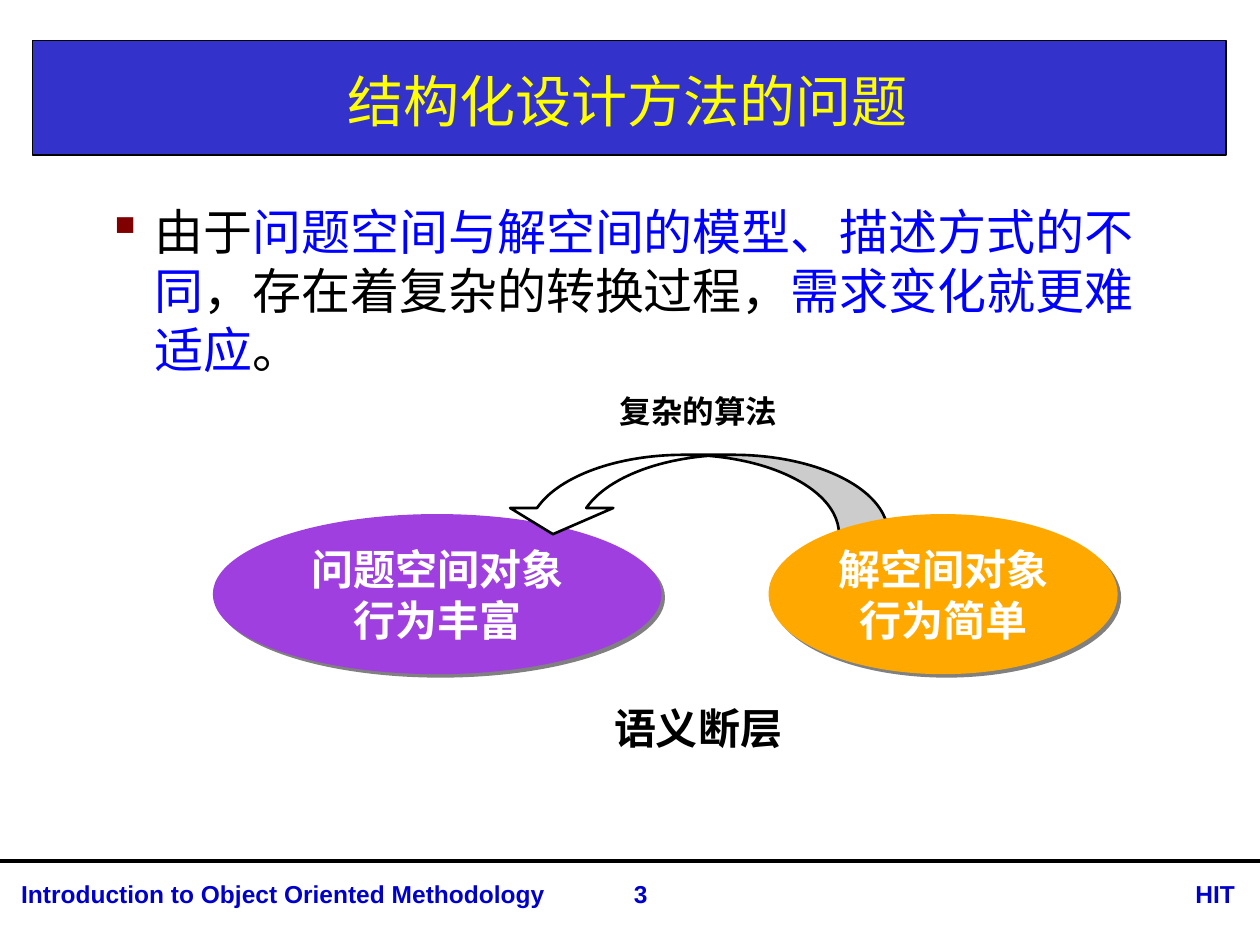
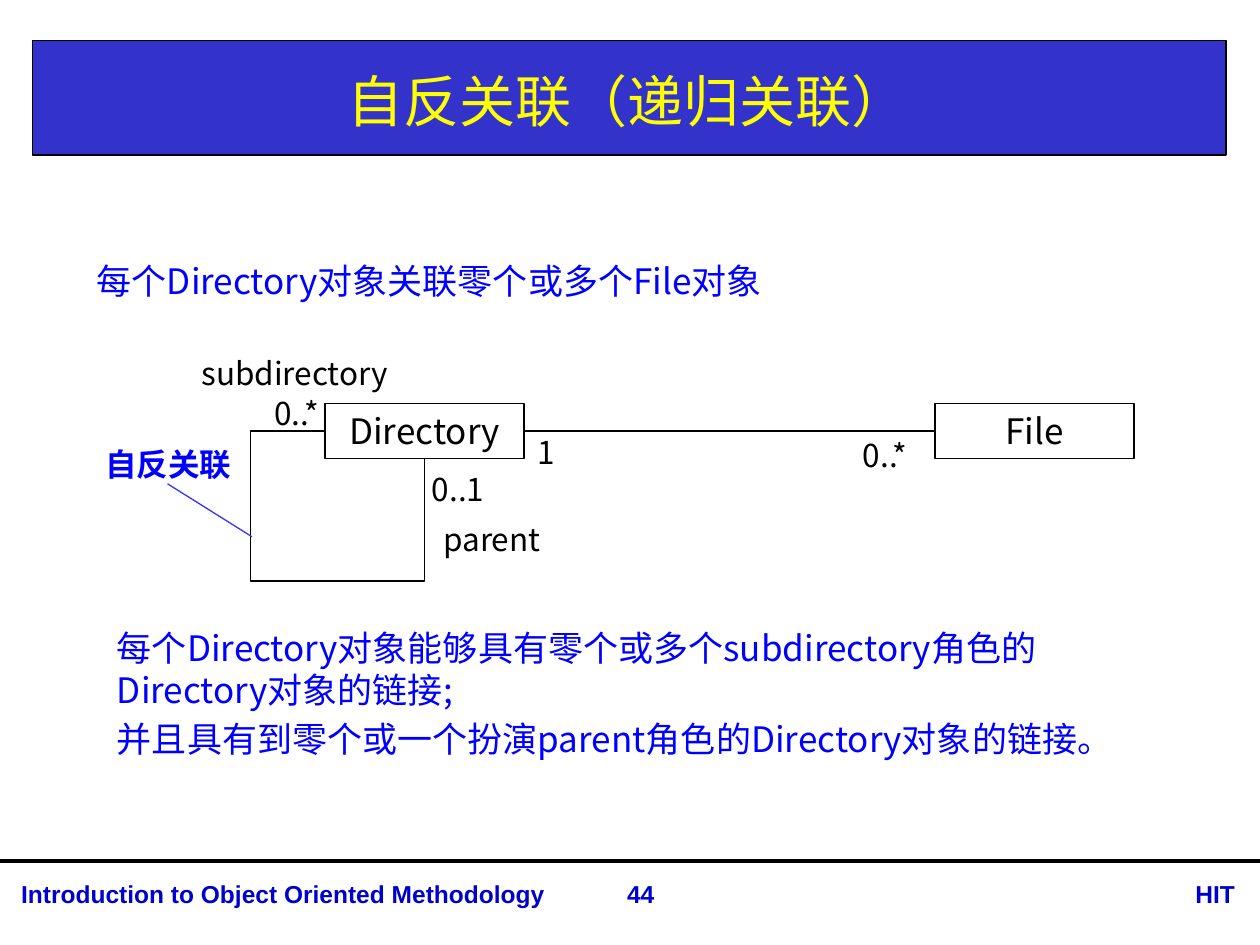
from lxml import etree
from pptx import Presentation
from pptx import util as u
from pptx.dml.color import RGBColor
from pptx.enum import shapes, text
from pptx.oxml import ns

COLORS = {
    "band": "3333CC", "title": "FFFF00", "footer": "0000CC", "black": "000000",
    "white": "FFFFFF", "blue": "0000FF", "bullet": "800000", "shadow": "808080",
    "purple": "9F3FDF", "orange": "FFA900", "callout": "3333FF",
}
SANS, SERIF, ARIAL = "Noto Sans CJK SC", "Times New Roman", "Arial"
LEFT, CENTER, RIGHT = text.PP_ALIGN.LEFT, text.PP_ALIGN.CENTER, text.PP_ALIGN.RIGHT

FORMATS = {
    "title": {"size": 32, "name": SANS, "color": "title"},
    "footer": {"size": 14, "name": ARIAL, "bold": True, "color": "footer"},
    "body": {"size": 28, "name": SANS, "color": "black"},
    "space": {"size": 24, "name": SERIF, "bold": True, "color": "white"},
    "gap": {"size": 24, "name": SERIF, "bold": True, "color": "black"},
    "algorithm": {"size": 18, "name": SERIF, "bold": True, "color": "black"},
    "statement": {"size": 20, "name": SANS, "color": "blue"},
    "class": {"size": 20, "name": SANS, "color": "black"},
    "label": {"size": 18, "name": SANS, "color": "black"},
    "callout": {"size": 18, "name": SANS, "bold": True, "color": "blue"},
}

FOOTER_TOP, FOOTER_HEIGHT = 6.93, 0.34
COURSE, SCHOOL = "Introduction to Object Oriented Methodology", "HIT"

PROBLEM = [
    ("由于", "black"),
    ("问题空间与解空间的模型、描述方式的不同", "blue"),
    ("，存在着复杂的转换过程，", "black"),
    ("需求变化就更难适应", "blue"),
    ("。", "black"),
]
PROBLEM_SPACE = (["问题空间对象", "行为丰富"], 1.7, 3.54, "purple")
SOLUTION_SPACE = (["解空间对象", "行为简单"], 6.11, 2.75, "orange")

FILE_STATEMENT = ["每个Directory对象关联零个或多个File对象"]
LINK_STATEMENTS = [
    "每个Directory对象能够具有零个或多个subdirectory角色的Directory对象的链接;",
    "并且具有到零个或一个扮演parent角色的Directory对象的链接。",
]
CLASSES = [("Directory", 2.58), ("File", 7.42)]
CLASS_TOP, CLASS_WIDTH, CLASS_HEIGHT = 3.2, 1.58, 0.44
LABEL_HEIGHT = 0.4
LABELS = [
    ("parent", 3.42, 4.08, 1.33),
    ("1", 4.17, 3.39, 0.42),
    ("subdirectory", 1.5, 2.76, 1.75),
    ("0..*", 6.75, 3.41, 0.67),
    ("0..1", 3.33, 3.68, 0.67),
    ("0..*", 2.08, 3.08, 0.67),
]
SELF_LINK = [(3.37, 3.64), (3.37, 4.61), (1.99, 4.61), (1.99, 3.42), (2.58, 3.42)]


def color(name):
    return RGBColor.from_string(COLORS[name])


def inches(*lengths):
    return [u.Inches(length) for length in lengths]


def add_run(paragraph, words, style, color_name=None):
    run = paragraph.add_run()
    run.text = words
    values = dict(FORMATS[style])
    run.font.color.rgb = color(color_name or values["color"])
    del values["color"]
    values["size"] = u.Pt(values["size"])
    for attribute, value in values.items():
        setattr(run.font, attribute, value)
    east_asian = etree.SubElement(run.font._element, ns.qn("a:ea"))
    east_asian.set("typeface", SANS)


def write(shape, paragraphs, style, alignment=LEFT, anchor=text.MSO_ANCHOR.TOP, space_after=0):
    frame = shape.text_frame
    settings = {"word_wrap": True, "auto_size": text.MSO_AUTO_SIZE.NONE, "vertical_anchor": anchor}
    for attribute, value in settings.items():
        setattr(frame, attribute, value)
    for index, content in enumerate(paragraphs):
        paragraph = frame.add_paragraph() if index else frame.paragraphs[0]
        paragraph.alignment = alignment
        paragraph.space_after = u.Pt(space_after)
        runs = [(content, None)] if isinstance(content, str) else content
        for words, color_name in runs:
            add_run(paragraph, words, style, color_name)


def add_text(slide, box, paragraphs, style, **options):
    shape = slide.shapes.add_textbox(*inches(*box))
    write(shape, paragraphs, style, **options)
    return shape


def paint(shape, fill, line, width):
    shape.shadow.inherit = False
    if fill:
        shape.fill.solid()
        shape.fill.fore_color.rgb = color(fill)
    else:
        shape.fill.background()
    shape.line.color.rgb = color(line)
    shape.line.width = u.Pt(width)


def add_block(slide, kind, box, fill, line="black", width=0.75):
    shape = slide.shapes.add_shape(kind, *inches(*box))
    paint(shape, fill, line, width)
    return shape


def add_line(slide, start, end, line="black", width=0.75):
    connector = slide.shapes.add_connector(
        shapes.MSO_CONNECTOR.STRAIGHT, *inches(*start, *end))
    connector.line.color.rgb = color(line)
    connector.line.width = u.Pt(width)
    etree.SubElement(connector.element.spPr, ns.qn("a:effectLst"))
    return connector


def add_slide(presentation, title, number):
    slide = presentation.slides.add_slide(presentation.slide_layouts[5])
    add_block(slide, shapes.MSO_SHAPE.RECTANGLE, (0.26, 0.32, 9.47, 0.91), "band")
    add_line(slide, (0, 6.83), (10, 6.83), width=2.25)
    footers = [(COURSE, 0.07, 4.63, LEFT), (SCHOOL, 8.87, 1.03, RIGHT),
               (number, 4.57, 1.03, CENTER)]
    for words, left, width, alignment in footers:
        add_text(slide, (left, FOOTER_TOP, width, FOOTER_HEIGHT), [words], "footer",
                 alignment=alignment)
    heading = slide.shapes.title
    places = zip(("left", "top", "width", "height"), inches(0.26, 0.36, 9.45, 0.87))
    for attribute, value in places:
        setattr(heading, attribute, value)
    write(heading, [title], "title", alignment=CENTER, anchor=text.MSO_ANCHOR.MIDDLE)
    heading.element.getparent().append(heading.element)
    return slide


def add_bullet(paragraph):
    properties = paragraph._p.get_or_add_pPr()
    properties.set("marL", str(u.Inches(0.38)))
    properties.set("indent", str(-u.Inches(0.38)))
    bullet_color = etree.SubElement(properties, ns.qn("a:buClr"))
    etree.SubElement(bullet_color, ns.qn("a:srgbClr")).set("val", COLORS["bullet"])
    etree.SubElement(properties, ns.qn("a:buChar")).set("char", "▪")


def add_shadow(shape):
    effects = shape.element.spPr.find(ns.qn("a:effectLst"))
    shadow = etree.SubElement(effects, ns.qn("a:outerShdw"))
    values = {"dist": u.Pt(2.8), "dir": 45 * 60000, "algn": "ctr", "rotWithShape": 0}
    for attribute, value in values.items():
        shadow.set(attribute, str(value))
    etree.SubElement(shadow, ns.qn("a:srgbClr")).set("val", COLORS["shadow"])


def add_space(slide, lines, left, width, fill):
    ellipse = add_block(slide, shapes.MSO_SHAPE.OVAL, (left, 4.09, width, 1.25),
                        fill, line=fill, width=1.5)
    add_shadow(ellipse)
    write(ellipse, lines, "space", alignment=CENTER, anchor=text.MSO_ANCHOR.MIDDLE)


def build_problem_slide(presentation):
    slide = add_slide(presentation, "结构化设计方法的问题", "3")
    body = add_text(slide, (0.75, 1.55, 8.66, 4.73), [PROBLEM], "body", space_after=5.6)
    add_bullet(body.text_frame.paragraphs[0])
    add_space(slide, *PROBLEM_SPACE)
    add_text(slide, (4.68, 3.06, 1.73, 0.4), ["复杂的算法"], "algorithm", alignment=CENTER)
    arrow = add_block(slide, shapes.MSO_SHAPE.CURVED_DOWN_ARROW, (3.98, 3.61, 3.07, 0.63),
                      "white", width=1.5)
    for index, value in enumerate((0.62, 1.3, 0.33)):
        arrow.adjustments[index] = value
    arrow.element.spPr.find(ns.qn("a:xfrm")).set("flipH", "1")
    add_space(slide, *SOLUTION_SPACE)
    add_text(slide, (4.48, 5.53, 2.12, 0.5), ["语义断层"], "gap", alignment=CENTER)


def build_association_slide(presentation):
    slide = add_slide(presentation, "自反关联（递归关联）", "44")
    add_text(slide, (0.83, 4.92, 8.3, 1.26), LINK_STATEMENTS, "statement", space_after=4)
    boxes = []
    for name, left in CLASSES:
        box = add_block(slide, shapes.MSO_SHAPE.RECTANGLE,
                        (left, CLASS_TOP, CLASS_WIDTH, CLASS_HEIGHT), "white")
        write(box, [name], "class", alignment=CENTER, anchor=text.MSO_ANCHOR.MIDDLE)
        boxes.append(box)
    directory, file = boxes
    association = add_line(slide, (4.16, 3.42), (7.42, 3.42))
    association.begin_connect(directory, 3)
    association.end_connect(file, 1)

    points = [inches(*point) for point in SELF_LINK]
    builder = slide.shapes.build_freeform(*points[0])
    builder.add_line_segments(points[1:], close=False)
    paint(builder.convert_to_shape(), None, "black", 0.75)

    for words, left, top, width in LABELS:
        add_text(slide, (left, top, width, LABEL_HEIGHT), [words], "label")
    add_text(slide, (0.67, 3.48, 1.33, LABEL_HEIGHT), ["自反关联"], "callout",
             alignment=CENTER)
    add_line(slide, (1.33, 3.84), (2, 4.26), line="callout")
    add_text(slide, (0.67, 2.01, 8.82, 0.44), FILE_STATEMENT, "statement")


def main():
    presentation = Presentation()
    presentation.slide_width, presentation.slide_height = inches(10, 7.5)
    build_problem_slide(presentation)
    build_association_slide(presentation)
    presentation.save("out.pptx")


if __name__ == "__main__":
    main()
